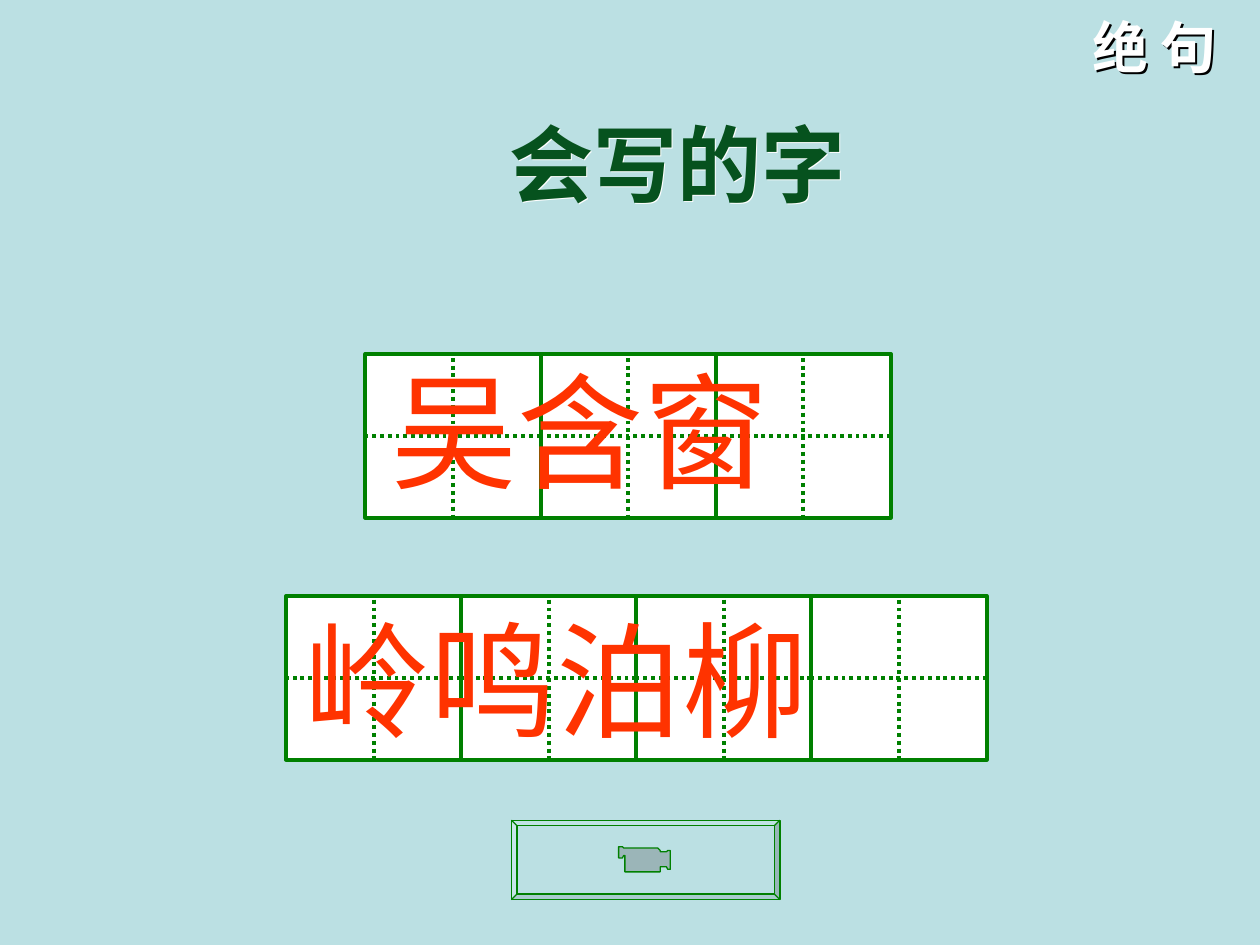
from dataclasses import dataclass

from lxml import etree
from pptx import Presentation
from pptx.dml.color import RGBColor
from pptx.enum.dml import MSO_LINE
from pptx.enum.shapes import MSO_CONNECTOR, MSO_SHAPE
from pptx.enum.text import MSO_ANCHOR, MSO_AUTO_SIZE, PP_ALIGN
from pptx.oxml.ns import qn
from pptx.util import Inches, Pt

BACKGROUND = RGBColor(0xBB, 0xE0, 0xE3)
CAMERA_GREY = RGBColor(0x9B, 0xB5, 0xB8)
GREEN = RGBColor(0x00, 0x80, 0x00)
DARK_GREEN = RGBColor(0x06, 0x52, 0x1E)
RED = RGBColor(0xFF, 0x33, 0x00)
WHITE = RGBColor(0xFF, 0xFF, 0xFF)
BLACK = RGBColor(0x00, 0x00, 0x00)
RECTANGLE, BEVEL = MSO_SHAPE.RECTANGLE, MSO_SHAPE.BEVEL
STRAIGHT, DOTTED = MSO_CONNECTOR.STRAIGHT, MSO_LINE.ROUND_DOT
TOP, LEFT = MSO_ANCHOR.TOP, PP_ALIGN.LEFT
NO_AUTOFIT = MSO_AUTO_SIZE.NONE
CJK_FONT = "Noto Sans CJK SC"
CELL_W, CELL_H = 1.39, 1.3

CAMERA = [
    (4.91, 6.72), (4.94, 6.72), (4.95, 6.73), (5.22, 6.73), (5.24, 6.75),
    (5.24, 6.76), (5.29, 6.76), (5.3, 6.75), (5.32, 6.75), (5.32, 6.9),
    (5.3, 6.9), (5.29, 6.88), (5.24, 6.88), (5.24, 6.92), (4.96, 6.92),
    (4.96, 6.79), (4.95, 6.79), (4.94, 6.81), (4.91, 6.81),
]


@dataclass
class CharacterRow:
    text: str
    x: float
    y: float
    cells: int
    text_box: tuple[float, float, float, float]


ROWS = [
    CharacterRow("吴含窗", 2.9, 2.81, 3, (3.01, 2.76, 4.04, 1.3)),
    CharacterRow("岭鸣泊柳", 2.27, 4.73, 4, (2.32, 4.73, 5.43, 1.3)),
]


def add_text_shadow(sp, color: RGBColor) -> None:
    """Shadow an unfilled shape, so that the shadow falls from its text."""
    sp.fill.background()
    effects = etree.SubElement(sp._element.spPr, qn("a:effectLst"))
    shadow = etree.SubElement(effects, qn("a:outerShdw"),
                              dist=str(Inches(0.02)), dir="2700000",
                              algn="ctr", rotWithShape="0")
    etree.SubElement(shadow, qn("a:srgbClr"), val=str(color))


def write_text(sp, text: str, *, size: int, color: RGBColor,
               font: str = CJK_FONT, bold: bool = False, wrap: bool = False,
               shadow: RGBColor | None = None) -> None:
    tf = sp.text_frame
    tf.word_wrap = wrap
    tf.auto_size = NO_AUTOFIT
    tf.vertical_anchor = TOP
    p = tf.paragraphs[0]
    p.alignment = LEFT
    r = p.add_run()
    r.text = text
    r.font.size, r.font.bold, r.font.name = Pt(size), bold, font
    r.font.color.rgb = color
    latin = r.font._element.find(qn("a:latin"))
    latin.addnext(etree.Element(qn("a:ea"), typeface=CJK_FONT))
    if shadow is not None:
        add_text_shadow(sp, shadow)


def style_shape(sp, fill: RGBColor, line_width: float) -> None:
    sp.shadow.inherit = False
    sp.fill.solid()
    sp.fill.fore_color.rgb = fill
    sp.line.color.rgb = GREEN
    sp.line.width = Pt(line_width)


def add_dotted_line(shapes, x1: float, y1: float, x2: float, y2: float) -> None:
    line = shapes.add_connector(STRAIGHT, Inches(x1), Inches(y1),
                                Inches(x2), Inches(y2))
    line.line.color.rgb = GREEN
    line.line.width = Pt(2.25)
    line.line.dash_style = DOTTED
    etree.SubElement(line._element.spPr, qn("a:effectLst"))


def add_cell(shapes, x: float, y: float) -> None:
    sp = shapes.add_shape(RECTANGLE, Inches(x), Inches(y),
                          Inches(CELL_W), Inches(CELL_H))
    style_shape(sp, WHITE, 2.25)
    middle_x, middle_y = x + CELL_W / 2, y + CELL_H / 2
    add_dotted_line(shapes, x + CELL_W, middle_y, x, middle_y)
    add_dotted_line(shapes, middle_x, y + 0.03, middle_x, y + CELL_H)


def add_character_row(s, row: CharacterRow) -> None:
    shapes = s.shapes.add_group_shape().shapes
    for i in range(row.cells):
        add_cell(shapes, row.x + i * CELL_W, row.y)
    box = shapes.add_textbox(*map(Inches, row.text_box))
    write_text(box, row.text, size=72, color=RED, wrap=True)


def add_movie_button(s) -> None:
    button = s.shapes.add_shape(BEVEL, Inches(4.06), Inches(6.51),
                                Inches(2.13), Inches(0.63))
    button.adjustments[0] = 0.07
    style_shape(button, BACKGROUND, 0.75)
    color = button._element.spPr.find(qn("a:solidFill"))[0]
    etree.SubElement(color, qn("a:alpha"), val="46000")

    builder = s.shapes.build_freeform(*map(Inches, CAMERA[0]), scale=1.0)
    builder.add_line_segments([(Inches(x), Inches(y)) for x, y in CAMERA[1:]])
    style_shape(builder.convert_to_shape(), CAMERA_GREY, 0.75)


def main() -> None:
    prs = Presentation()
    prs.slide_width, prs.slide_height = Inches(10), Inches(7.5)
    s = prs.slides.add_slide(prs.slide_layouts[5])
    s.background.fill.solid()
    s.background.fill.fore_color.rgb = BACKGROUND

    title = s.shapes.title
    title.left, title.top = Inches(3.94), Inches(0.84)
    title.width, title.height = Inches(3), Inches(0.9)
    write_text(title, "会写的字", size=48, color=DARK_GREEN, font="Arial",
               bold=True, wrap=True, shadow=WHITE)

    add_movie_button(s)
    for row in ROWS:
        add_character_row(s, row)

    poem = s.shapes.add_textbox(Inches(8.57), Inches(0.05),
                                Inches(1.31), Inches(0.64))
    write_text(poem, "绝 句", size=32, color=WHITE, bold=True, shadow=BLACK)

    prs.save("out.pptx")


if __name__ == "__main__":
    main()
